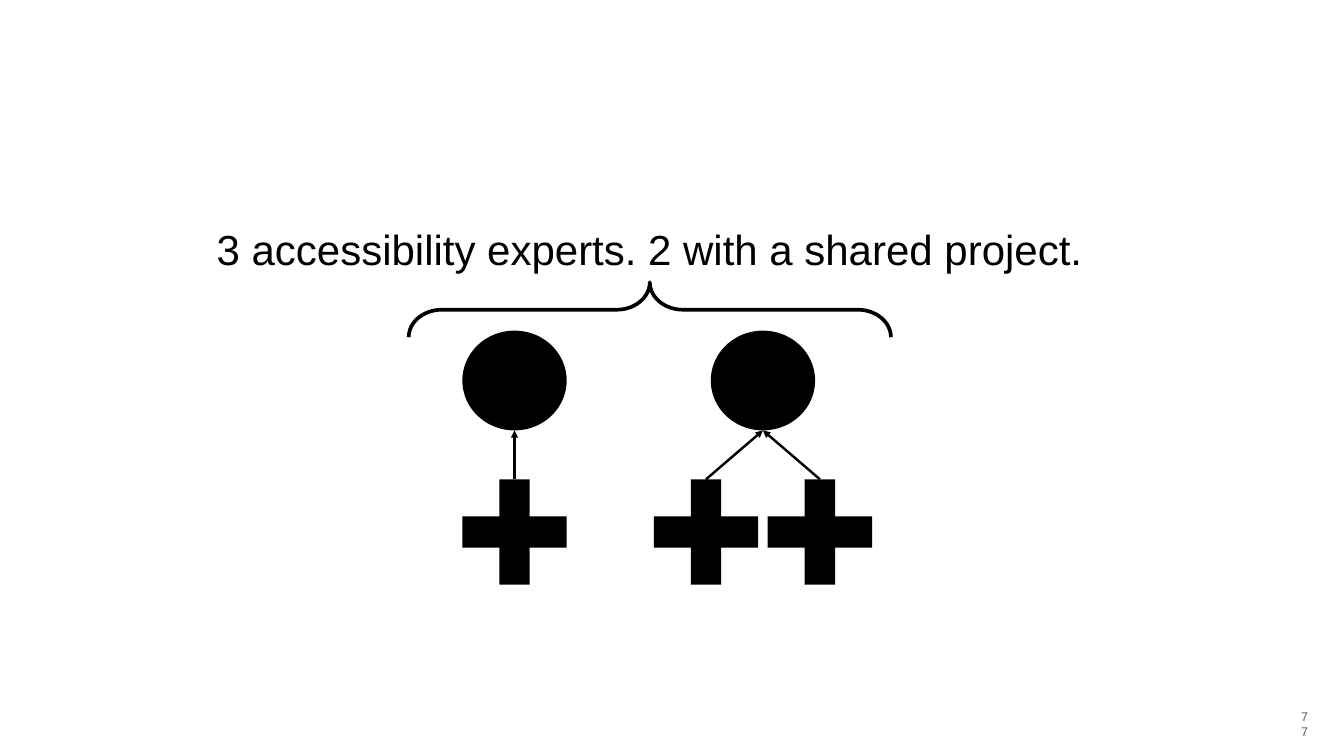
import pptx
import pptx.util
import pptx.dml.color
import pptx.enum.shapes
import pptx.enum.text
import pptx.oxml.ns
import lxml.etree

TITLE = "3 accessibility experts. 2 with a shared project."
PAGE = "77"
# Each project: centre of its circle, centres of its experts.
TEAMS = [(10.21, [10.21]), (15.14, [14.01, 16.27])]

WIDE, HIGH = 26.67, 15
SIZE = 2.07
ROUND_TOP, ROUND_HIGH = 6.56, 1.98
PLUS_TOP, PLUS_HIGH = 9.51, 2.09
BLACK = pptx.dml.color.RGBColor(0, 0, 0)
GREY = pptx.dml.color.RGBColor(0x5E, 0x5E, 0x5E)

KIND = pptx.enum.shapes.MSO_SHAPE
ANCHOR = pptx.enum.text.MSO_ANCHOR
inch = pptx.util.Inches


def box(*sizes):
    return [inch(size) for size in sizes]


def add_mark(slide, kind, mid, top, high):
    mark = slide.shapes.add_shape(kind, *box(mid - SIZE / 2, top, SIZE, high))
    mark.shadow.inherit = False
    mark.fill.solid()
    mark.fill.fore_color.rgb = BLACK
    mark.line.fill.background()
    return mark


def add_arrow(slide, plus, start, end):
    arrow = slide.shapes.add_connector(
        pptx.enum.shapes.MSO_CONNECTOR.STRAIGHT,
        *box(start, PLUS_TOP, end, ROUND_TOP + ROUND_HIGH))
    arrow.begin_connect(plus, 0)
    arrow.line.color.rgb = BLACK
    arrow.line.width = pptx.util.Pt(3.5)
    shape = arrow._element.spPr
    line = shape.find(pptx.oxml.ns.qn("a:ln"))
    lxml.etree.SubElement(line, pptx.oxml.ns.qn("a:tailEnd"), type="triangle")
    lxml.etree.SubElement(shape, pptx.oxml.ns.qn("a:effectLst"))


def add_brace(slide):
    brace = slide.shapes.add_shape(KIND.RIGHT_BRACE, *box(12.35, 1.36, 1.09, 9.57))
    brace.rotation = 270
    brace.adjustments[0] = 0.603
    brace.adjustments[1] = 0.5
    brace.shadow.inherit = False
    brace.fill.background()
    brace.line.color.rgb = BLACK
    brace.line.width = pptx.util.Pt(5.25)


def set_text(shape, text, size, color, anchor):
    frame = shape.text_frame
    frame.text = text
    frame.word_wrap = True
    frame.auto_size = pptx.enum.text.MSO_AUTO_SIZE.SHAPE_TO_FIT_TEXT
    frame.vertical_anchor = anchor
    frame.margin_left = frame.margin_right = inch(0.06)
    frame.margin_top = frame.margin_bottom = inch(0.06)
    line = frame.paragraphs[0]
    line.alignment = pptx.enum.text.PP_ALIGN.CENTER
    font = line.runs[0].font
    font.name = "Arial"
    font.size = pptx.util.Pt(size)
    font.color.rgb = color


def main():
    deck = pptx.Presentation()
    deck.slide_width, deck.slide_height = box(WIDE, HIGH)
    slide = deck.slides.add_slide(deck.slide_layouts[5])

    title = slide.shapes.title
    title.left, title.top, title.width, title.height = box(4.18, 4.37, 17.42, 1.12)
    set_text(title, TITLE, 60, BLACK, ANCHOR.MIDDLE)

    page = slide.shapes.add_textbox(*box(25.76, 14.31, 0.26, 0.42))
    set_text(page, PAGE, 18, GREY, ANCHOR.BOTTOM)

    for mid, experts in TEAMS:
        add_mark(slide, KIND.OVAL, mid, ROUND_TOP, ROUND_HIGH)
        for expert in experts:
            plus = add_mark(slide, KIND.CROSS, expert, PLUS_TOP, PLUS_HIGH)
            plus.adjustments[0] = 0.355
            add_arrow(slide, plus, expert, mid)
    add_brace(slide)

    deck.save("out.pptx")


if __name__ == "__main__":
    main()
